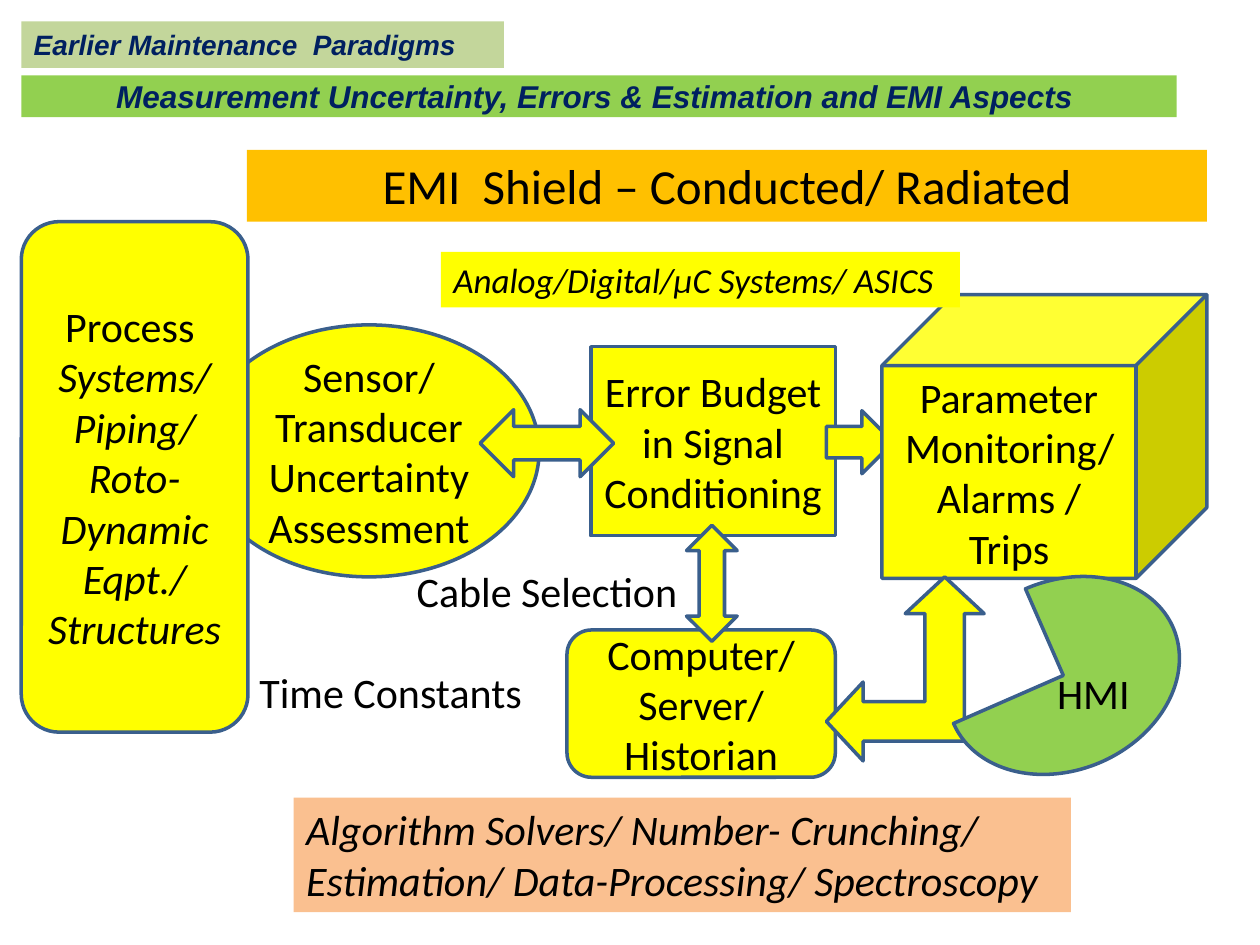
from dataclasses import dataclass
from typing import Optional

from pptx import Presentation
from pptx.dml.color import RGBColor
from pptx.enum.shapes import MSO_SHAPE
from pptx.enum.text import MSO_ANCHOR, MSO_AUTO_SIZE, PP_ALIGN
from pptx.util import Cm, Pt

RECTANGLE = MSO_SHAPE.RECTANGLE
ROUNDED = MSO_SHAPE.ROUNDED_RECTANGLE
OVAL = MSO_SHAPE.OVAL
CUBE = MSO_SHAPE.CUBE
PIE = MSO_SHAPE.PIE
DOUBLE_ARROW = MSO_SHAPE.LEFT_RIGHT_ARROW
RIGHT_ARROW = MSO_SHAPE.RIGHT_ARROW
CORNER_ARROW = MSO_SHAPE.LEFT_UP_ARROW
LEFT, CENTER = PP_ALIGN.LEFT, PP_ALIGN.CENTER
TOP, MIDDLE = MSO_ANCHOR.TOP, MSO_ANCHOR.MIDDLE
FIT_SHAPE, NO_FIT = MSO_AUTO_SIZE.SHAPE_TO_FIT_TEXT, MSO_AUTO_SIZE.NONE

COLORS = {
    "yellow": "FFFF00",
    "green": "92D050",
    "sage": "C3D69B",
    "orange": "FFC000",
    "peach": "FAC090",
    "outline": "3A5F8C",
    "navy": "002060",
    "black": "000000",
}


@dataclass(frozen=True)
class Style:
    size: int = 24
    font: str = "Calibri"
    color: str = "black"
    bold: bool = False
    italic: bool = False
    align: PP_ALIGN = LEFT


@dataclass(frozen=True)
class Box:
    left: float
    top: float
    width: float
    height: float

    def lengths(self) -> tuple:
        return Cm(self.left), Cm(self.top), Cm(self.width), Cm(self.height)


@dataclass(frozen=True)
class Node:
    kind: MSO_SHAPE
    box: Box
    lines: tuple = ()
    fill: str = "yellow"
    rotation: float = 0
    adjustments: tuple = ()


@dataclass(frozen=True)
class Label:
    box: Box
    text: str
    style: Style = Style()
    fill: Optional[str] = None


NODE_STYLE = Style(align=CENTER)
TITLE_STYLE = Style(18, "Arial", "navy", True, True, CENTER)
TITLE_BOX = Box(0.43, 1.52, 23.29, 0.84)

SENSOR = Node(OVAL, Box(4.01, 6.55, 6.86, 5.08),
              ("Sensor/", "Transducer Uncertainty Assessment"))
ERROR_BUDGET = Node(RECTANGLE, Box(11.91, 6.99, 4.93, 3.81),
                    ("Error Budget in Signal Conditioning",))
COMPUTER = Node(ROUNDED, Box(11.43, 12.7, 5.41, 2.97),
                ("Computer/ Server/ Historian",))
BUDGET_TO_COMPUTER = Node(DOUBLE_ARROW, Box(13.18, 11.25, 2.34, 1.02), rotation=90)
SENSOR_TO_BUDGET = Node(DOUBLE_ARROW, Box(9.68, 8.26, 2.69, 1.35))
BUDGET_TO_MONITOR = Node(RIGHT_ARROW, Box(16.66, 8.28, 1.35, 1.27))
MONITOR = Node(CUBE, Box(17.78, 5.94, 6.55, 5.72),
               ("Parameter Monitoring/Alarms / Trips",))
COMPUTER_TO_MONITOR = Node(CORNER_ARROW, Box(16.66, 11.63, 3.18, 3.71),
                           adjustments=(0.25, 0.25, 0.233))
INTERFACE = Node(PIE, Box(19.53, 11.2, 3.81, 4.83), fill="green", rotation=246.4)
PROCESS = Node(ROUNDED, Box(0.43, 4.47, 4.57, 10.29),
               ("Process ", "Systems/ Piping/ Roto-Dynamic Eqpt./ Structures"))

SYSTEMS = Label(Box(8.89, 5.08, 10.46, 1.12), "Analog/Digital/μC Systems/ ASICS",
                Style(20, italic=True), "yellow")
SOLVERS = Label(Box(5.92, 16.08, 15.67, 2.31),
                "Algorithm Solvers/ Number- Crunching/ Estimation/ "
                "Data-Processing/ Spectroscopy", Style(italic=True), "peach")
TIME_CONSTANTS = Label(Box(4.98, 13.31, 5.97, 1.27), "Time Constants")
SHIELD = Label(Box(4.98, 3.02, 19.35, 1.45), "EMI  Shield – Conducted/ Radiated",
               Style(28, align=CENTER), "orange")
INTERFACE_NAME = Label(Box(21.06, 13.34, 2.51, 1.27), "HMI")
CABLE = Label(Box(8.15, 11.28, 5.97, 1.27), "Cable Selection")
PARADIGMS = Label(Box(0.43, 0.43, 9.73, 0.94), "Earlier Maintenance  Paradigms",
                  Style(16, "Arial", "navy", True, True), "sage")

ELEMENTS = (
    SENSOR, ERROR_BUDGET, COMPUTER, BUDGET_TO_COMPUTER, SENSOR_TO_BUDGET,
    BUDGET_TO_MONITOR, MONITOR, SYSTEMS, SOLVERS, COMPUTER_TO_MONITOR,
    TIME_CONSTANTS, SHIELD, INTERFACE, INTERFACE_NAME, CABLE, PROCESS, PARADIGMS,
)


def color(name: str) -> RGBColor:
    return RGBColor.from_string(COLORS[name])


def paint(shape, fill: str) -> None:
    shape.fill.solid()
    shape.fill.fore_color.rgb = color(fill)


def write(shape, lines: tuple, style: Style, anchor: MSO_ANCHOR,
          auto_size: MSO_AUTO_SIZE) -> None:
    frame = shape.text_frame
    frame.text = "\n".join(lines)
    frame.word_wrap = True
    frame.auto_size = auto_size
    frame.vertical_anchor = anchor
    for paragraph in frame.paragraphs:
        paragraph.alignment = style.align
        font = paragraph.font
        font.name, font.size = style.font, Pt(style.size)
        font.bold, font.italic = style.bold, style.italic
        font.color.rgb = color(style.color)


def draw_node(slide, node: Node):
    shape = slide.shapes.add_shape(node.kind, *node.box.lengths())
    shape.shadow.inherit = False
    shape.rotation = node.rotation
    for index, value in enumerate(node.adjustments):
        shape.adjustments[index] = value
    paint(shape, node.fill)
    shape.line.color.rgb = color("outline")
    shape.line.width = Pt(2)
    if node.lines:
        write(shape, node.lines, NODE_STYLE, MIDDLE, NO_FIT)
    return shape


def draw_label(slide, label: Label):
    shape = slide.shapes.add_textbox(*label.box.lengths())
    if label.fill:
        paint(shape, label.fill)
    write(shape, (label.text,), label.style, TOP, FIT_SHAPE)
    return shape


def draw_title(slide) -> None:
    title = slide.shapes.title
    title.left, title.top, title.width, title.height = TITLE_BOX.lengths()
    paint(title, "green")
    write(title, ("Measurement Uncertainty, Errors & Estimation and EMI Aspects ",),
          TITLE_STYLE, MIDDLE, NO_FIT)


def main() -> None:
    presentation = Presentation()
    presentation.slide_width, presentation.slide_height = Cm(25.4), Cm(19.05)
    slide = presentation.slides.add_slide(presentation.slide_layouts[5])
    draw_title(slide)
    for element in ELEMENTS:
        draw = draw_node if isinstance(element, Node) else draw_label
        shape = draw(slide, element)
        if element is PROCESS:
            shape.text_frame.paragraphs[1].font.italic = True
    presentation.save("out.pptx")


if __name__ == "__main__":
    main()
